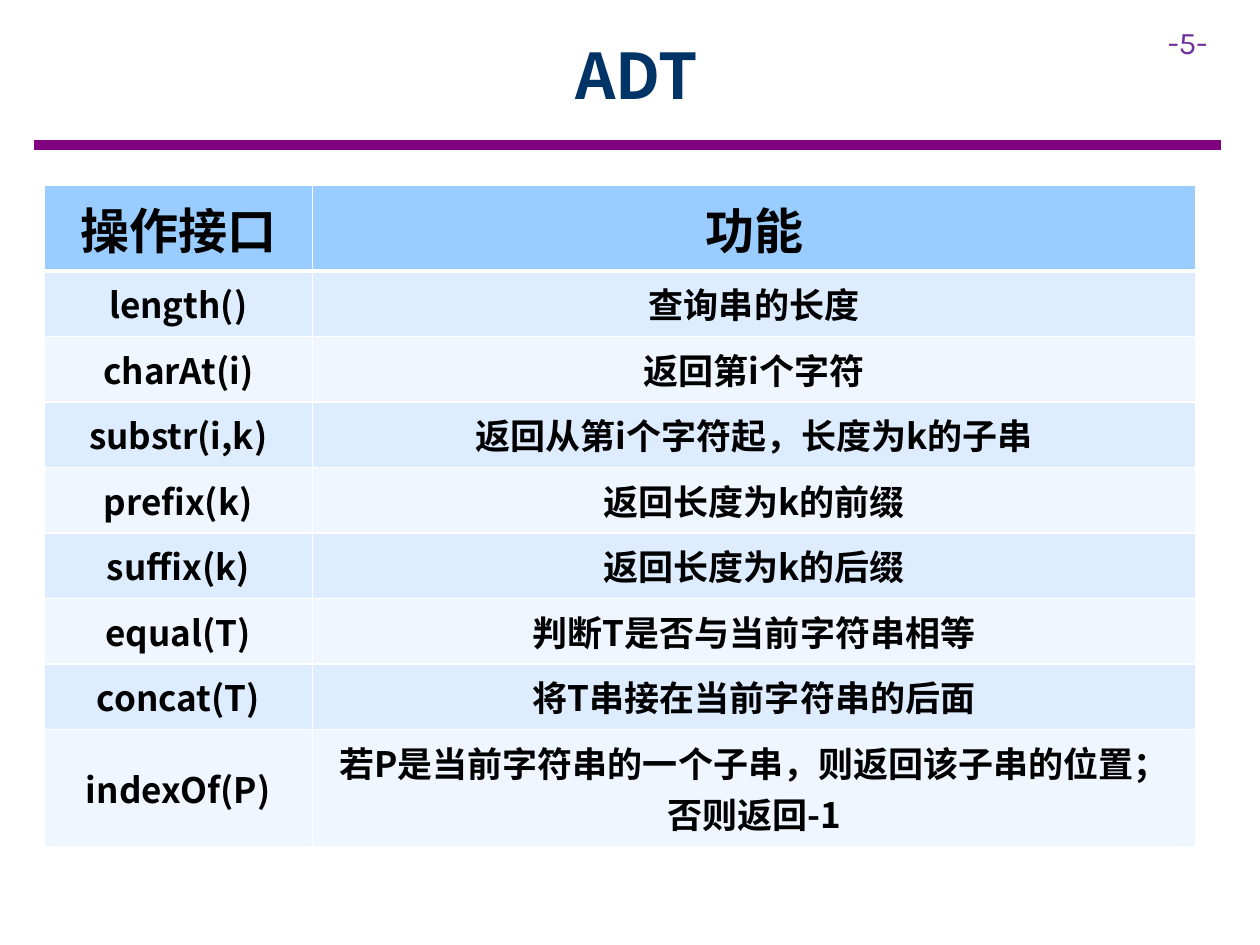
"""Build the slide that lists the string ADT operations."""
from pptx import Presentation
from pptx import util as u
from pptx.dml.color import RGBColor
from pptx.enum import text
from pptx.oxml import parse_xml
from pptx.oxml.ns import nsdecls

COLORS = {
    "title": "003366", "rule": "800080", "number": "7030A0", "ink": "000000",
    "header": "99CCFF", "odd": "DEECFF", "even": "EFF6FF", "border": "FFFFFF",
}
CJK = "Noto Sans CJK SC"
HEADINGS = ("操作接口", "功能")
OPERATIONS = [
    ("length()", "查询串的长度"),
    ("charAt(i)", "返回第i个字符"),
    ("substr(i,k)", "返回从第i个字符起，长度为k的子串"),
    ("prefix(k)", "返回长度为k的前缀"),
    ("suffix(k)", "返回长度为k的后缀"),
    ("equal(T)", "判断T是否与当前字符串相等"),
    ("concat(T)", "将T串接在当前字符串的后面"),
    ("indexOf(P)", "若P是当前字符串的一个子串，则返回该子串的位置；否则返回-1"),
]


class SlideBuilder:
    """Hold the style and the current slide."""

    def __init__(self, deck):
        self.slide = deck.slides.add_slide(deck.slide_layouts[5])

    def color(self, name):
        return RGBColor.from_string(COLORS[name])

    def place(self, shape, box):
        shape.left, shape.top, shape.width, shape.height = map(u.Inches, box)

    def set_text(self, frame, words, size, color, font=CJK, bold=True, align=text.PP_ALIGN.CENTER):
        frame.text = words
        paragraph = frame.paragraphs[0]
        paragraph.alignment = align
        style = paragraph.font
        style.size, style.bold, style.name = u.Pt(size), bold, font
        style.color.rgb = self.color(color)
        paragraph._p.pPr.find("{*}defRPr").append(
            parse_xml(f'<a:ea {nsdecls("a")} typeface="{font}"/>'))

    def title(self, words, box):
        title = self.slide.shapes.title
        self.place(title, box)
        title.text_frame.vertical_anchor = text.MSO_ANCHOR.MIDDLE
        self.set_text(title.text_frame, words, 36, "title")

    def rule(self, left, right, y, weight):
        ends = map(u.Inches, (left, y, right, y))
        rule = self.slide.shapes.add_connector(1, *ends)
        rule.line.color.rgb = self.color("rule")
        rule.line.width = u.Pt(weight)
        rule._element.spPr.append(parse_xml(f'<a:effectLst {nsdecls("a")}/>'))

    def page_number(self, words, box):
        number = self.slide.shapes.add_textbox(*map(u.Inches, box))
        number.text_frame.word_wrap = True
        self.set_text(number.text_frame, words, 18, "number", "Karla", False, text.PP_ALIGN.LEFT)

    def borders(self, cell, top, bottom):
        properties = cell._tc.get_or_add_tcPr()
        sides = (("lnL", 1), ("lnR", 1), ("lnT", top), ("lnB", bottom))
        for index, (side, weight) in enumerate(sides):
            properties.insert(index, parse_xml(
                f'<a:{side} {nsdecls("a")} w="{u.Pt(weight)}"><a:solidFill>'
                f'<a:srgbClr val="{COLORS["border"]}"/></a:solidFill></a:{side}>'))

    def table(self, rows, box, widths, heights):
        frame = self.slide.shapes.add_table(len(rows), len(widths), *map(u.Inches, box))
        grid = frame.table
        for column, width in zip(grid.columns, widths):
            column.width = u.Inches(width)
        for index, (row, height) in enumerate(zip(rows, heights)):
            grid.rows[index].height = u.Inches(height)
            fill = "header" if index == 0 else "odd" if index % 2 else "even"
            for cell, words in zip(grid.rows[index].cells, row):
                cell.fill.solid()
                cell.fill.fore_color.rgb = self.color(fill)
                cell.vertical_anchor = text.MSO_ANCHOR.MIDDLE
                self.set_text(cell.text_frame, words, 20 if index else 28, "ink")
                self.borders(cell, 3 if index == 1 else 1, 1 if index else 3)


deck = Presentation()
deck.slide_width, deck.slide_height = u.Inches(10), u.Inches(7.5)
builder = SlideBuilder(deck)
builder.rule(0.27, 9.69, 1.15, 6)
builder.page_number("-5-", (9.17, 0.13, 0.83, 0.4))
builder.title("ADT", (0.9, 0.09, 8.31, 1))
builder.table([HEADINGS, *OPERATIONS], (0.35, 1.47, 9.13, 5.28),
              (2.13, 7.01), [0.68] + [0.52] * 7 + [0.93])
deck.save("out.pptx")
